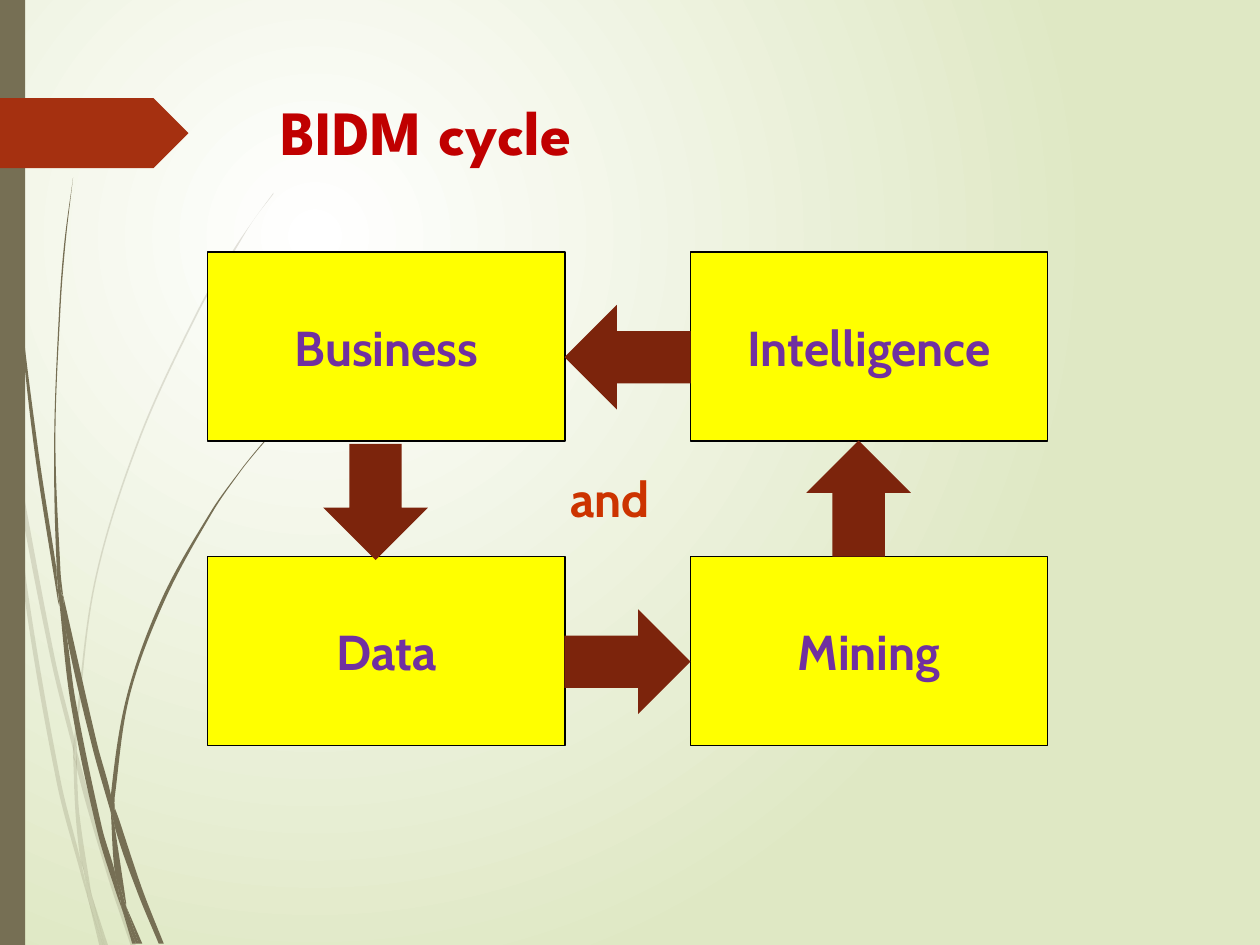
import pptx
import pptx.dml.color
import pptx.enum.shapes
import pptx.enum.text
import pptx.oxml.ns
import pptx.util
from lxml import etree

Cm, Pt = pptx.util.Cm, pptx.util.Pt
RGB = pptx.dml.color.RGBColor.from_string
qn = pptx.oxml.ns.qn
SHAPE = pptx.enum.shapes.MSO_SHAPE
ALIGN = pptx.enum.text.PP_ALIGN
ANCHOR = pptx.enum.text.MSO_ANCHOR

THEME = {
    "back": ("FFFFFF", "DFE8C4"),
    "stem": "766F54", "tag": "A53010", "arrow": "7C240C",
    "box": "FFFF00", "edge": "000000",
    "title": {"name": "League Spartan", "size": Pt(36), "bold": True, "color": "C00000"},
    "label": {"name": "Cabin", "size": Pt(28), "bold": True, "color": "7030A0"},
    "link": {"name": "Cabin", "size": Pt(28), "bold": True, "color": "CC3300"},
}

TITLE = "BIDM cycle"
LINK_WORD = "and"
BOXES = [["Business", "Intelligence"], ["Data", "Mining"]]

# Lengths are in centimetres, apart from the grass.
BOX_LEFT, BOX_TOP, BOX_W, BOX_H = 4.19, 5.08, 7.2, 3.81
STEP_X, STEP_Y = 9.73, 6.14
ARROW_H = 2.11
ARROWS = [  # centre x, centre y, length, rotation
    (7.57, 10.12, 2.34, 90),
    (17.31, 10.05, 2.34, 270),
    (12.65, 7.2, 2.54, 180),
    (12.65, 13.34, 2.54, 0),
]

# Each blade of grass has two sides, both running downwards, in units of GRASS_UNIT cm.
GRASS_UNIT = 2.54
FAINT_GRASS = [
    ([(0, 2.82), (0, 2.99), (0.07, 3.44), (0.08, 3.5)], [(0, 2.82), (0.06, 3.22), (0.08, 3.5)]),
    ([(0.1, 3.45), (0.12, 3.76), (0.4, 5.22), (0.59, 5.99)],
     [(0.1, 3.45), (0.43, 5.2), (0.59, 5.86)]),
    ([(0.61, 5.96), (0.61, 6.1), (0.85, 6.94), (1.04, 7.51)],
     [(0.61, 5.96), (0.64, 6.07), (0.88, 6.92), (1.08, 7.51)]),
    ([(0.73, 7.11), (0.83, 7.51)], [(0.73, 7.11), (0.86, 7.51)]),
    ([(0.08, 3.5), (0.19, 4.7), (0.45, 6.21), (0.64, 6.93), (0.7, 7.14)],
     [(0.08, 3.5), (0.12, 3.76), (0.22, 4.69), (0.48, 6.19), (0.64, 6.83), (0.69, 7.07),
      (0.7, 7.14)]),
    ([(0.58, 5.99), (0.6, 6.46), (0.64, 6.83), (0.67, 6.92), (0.73, 7.11)],
     [(0.58, 5.99), (0.61, 6.08), (0.61, 6.1), (0.63, 6.46), (0.72, 7.06), (0.73, 7.11)]),
    ([(2.17, 1.53), (2.01, 1.75), (1.86, 1.97), (1.58, 2.44), (1.1, 3.48), (0.75, 4.61),
      (0.59, 5.84), (0.59, 5.86), (0.61, 5.96)],
     [(2.17, 1.54), (2.01, 1.75), (1.87, 1.98), (1.59, 2.45), (1.11, 3.49), (0.76, 4.62),
      (0.61, 5.84), (0.61, 5.96)]),
    ([(0.7, 7.14), (0.79, 7.51)], [(0.7, 7.14), (0.82, 7.51)]),
    ([(0.59, 5.86), (0.58, 5.99), (0.61, 6.08), (0.61, 6.1)],
     [(0.59, 5.86), (0.61, 5.96), (0.61, 6.1)]),
    ([(0.65, 6.83), (0.69, 7.07), (0.7, 7.14), (0.82, 7.51)],
     [(0.65, 6.83), (0.67, 6.92), (0.73, 7.11), (0.83, 7.51)]),
]
DARK_GRASS = [
    ([(0.02, 0), (0.03, 0.48), (0.05, 1.1), (0.14, 2.33), (0.27, 3.55), (0.46, 4.77),
      (0.47, 4.81)],
     [(0.03, 0), (0.04, 0.48), (0.06, 1.09), (0.15, 2.32), (0.3, 3.55), (0.45, 4.53),
      (0.45, 4.57), (0.47, 4.81)]),
    ([(0.5, 4.72), (0.53, 5.05), (0.73, 5.92), (0.88, 6.45)],
     [(0.5, 4.72), (0.77, 5.9), (0.88, 6.31), (0.88, 6.45)]),
    ([(0.91, 6.41), (0.91, 6.56), (1.09, 7.08), (1.26, 7.49)],
     [(0.91, 6.41), (0.94, 6.49), (1.13, 7.06), (1.3, 7.49)]),
    ([(0.47, 4.77), (0.56, 5.57), (0.77, 6.59), (0.92, 7.08), (0.97, 7.22)],
     [(0.47, 4.77), (0.53, 5.05), (0.6, 5.56), (0.81, 6.57), (0.91, 6.91), (0.96, 7.17),
      (0.97, 7.22)]),
    ([(0.58, 1.41), (0.51, 1.93), (0.47, 2.45), (0.43, 3.49), (0.45, 4.49), (0.49, 4.72)],
     [(0.58, 1.41), (0.52, 1.93), (0.48, 2.45), (0.44, 3.49), (0.48, 4.53), (0.5, 4.72)]),
    ([(1, 7.19), (1.1, 7.49)], [(1, 7.19), (1.13, 7.49)]),
    ([(0.45, 4.49), (0.45, 4.53), (0.47, 4.77), (0.53, 5.05)],
     [(0.45, 4.49), (0.49, 4.72), (0.5, 4.73), (0.53, 5.05)]),
    ([(2.15, 3.44), (2.03, 3.58), (1.91, 3.73), (1.68, 4.05), (1.29, 4.74), (1.01, 5.51),
      (0.88, 6.31), (0.91, 6.41)],
     [(2.16, 3.44), (2.03, 3.59), (1.91, 3.74), (1.69, 4.06), (1.31, 4.76), (1.03, 5.52),
      (0.91, 6.33), (0.91, 6.41)]),
    ([(0.97, 7.22), (1.05, 7.49)], [(0.97, 7.22), (1.08, 7.49)]),
    ([(0.88, 6.45), (0.91, 6.91), (0.96, 7.06), (1, 7.19)],
     [(0.88, 6.45), (0.9, 6.51), (0.91, 6.56), (1, 7.16), (1, 7.19)]),
    ([(0.88, 6.31), (0.88, 6.45), (0.9, 6.51), (0.91, 6.56)],
     [(0.88, 6.31), (0.91, 6.41), (0.91, 6.56)]),
    ([(0.91, 6.91), (0.96, 7.17), (0.97, 7.22), (1.08, 7.49)],
     [(0.91, 6.91), (0.96, 7.06), (1, 7.19), (1.1, 7.49)]),
]


def paint(sp, fill, line=None):
    sp.shadow.inherit = False
    sp.fill.solid()
    sp.fill.fore_color.rgb = RGB(fill)
    if line:
        sp.line.color.rgb = RGB(line)
        sp.line.width = Pt(0.75)
    else:
        sp.line.fill.background()


def add_shape(parent, kind, x, y, w, h, fill, line=None):
    sp = parent.shapes.add_shape(kind, Cm(x), Cm(y), Cm(w), Cm(h))
    paint(sp, fill, line)
    return sp


def write(sp, text, style, align=ALIGN.LEFT, anchor=ANCHOR.TOP):
    tf = sp.text_frame
    tf.word_wrap = True
    tf.vertical_anchor = anchor
    p = tf.paragraphs[0]
    p.alignment = align
    r = p.add_run()
    r.text = text
    for key, value in THEME[style].items():
        if key == "color":
            r.font.color.rgb = RGB(value)
        else:
            setattr(r.font, key, value)


def add_text(s, x, y, w, h, text, style):
    write(s.shapes.add_textbox(Cm(x), Cm(y), Cm(w), Cm(h)), text, style)


def curves(side):
    """Return the Bezier points (control, control, end) of each step along a side."""
    last = len(side) - 1
    slopes = []
    for i in range(last + 1):
        (xa, ya), (xb, yb) = side[max(i - 1, 0)], side[min(i + 1, last)]
        slopes.append((xb - xa) / (yb - ya))
    steps = []
    for (x0, y0), (x1, y1), m0, m1 in zip(side, side[1:], slopes, slopes[1:]):
        d = (y1 - y0) / 3
        steps.append([(x0 + m0 * d, y0 + d), (x1 - m1 * d, y1 - d), (x1, y1)])
    return steps


def add_blade(group, left, right, alpha):
    steps = curves(left)
    if left[-1] != right[-1]:
        steps.append([right[-1]])
    steps += curves(right[::-1])
    start, *ends = [tuple(Cm(v * GRASS_UNIT) for v in pt)
                    for pt in [left[0]] + [step[-1] for step in steps]]
    builder = group.shapes.build_freeform(*start, scale=1.0)
    builder.add_line_segments(ends, close=True)
    sp = builder.convert_to_shape()
    for line, step in zip(list(sp.element.iter(qn("a:lnTo"))), steps):
        if len(step) == 3:
            curve = etree.Element(qn("a:cubicBezTo"))
            for x, y in step:
                etree.SubElement(curve, qn("a:pt"), x=str(Cm(x * GRASS_UNIT) - sp.left),
                                 y=str(Cm(y * GRASS_UNIT) - sp.top))
            line.getparent().replace(line, curve)
    paint(sp, THEME["stem"])
    if alpha < 100:
        color = sp.element.spPr.find(qn("a:solidFill"))[0]
        etree.SubElement(color, qn("a:alpha"), val=str(alpha * 1000))


def set_background(s):
    """Fill the slide with a round gradient centred in its upper left quarter."""
    fill = s.background.fill
    fill.gradient()
    for position, (stop, color) in enumerate(zip(fill.gradient_stops, THEME["back"])):
        stop.color.rgb = RGB(color)
        stop.position = position
    grad = s.element.find(".//" + qn("a:gradFill"))
    circle = etree.Element(qn("a:path"), path="circle")
    etree.SubElement(circle, qn("a:fillToRect"), l="50000", t="50000", r="100000", b="100000")
    grad.replace(grad.find(qn("a:lin")), circle)


def main():
    prs = pptx.Presentation()
    prs.slide_width, prs.slide_height = Cm(25.4), Cm(19.05)
    s = prs.slides.add_slide(prs.slide_layouts[6])
    set_background(s)

    for blades, alpha in ((FAINT_GRASS, 20), (DARK_GRASS, 100)):
        group = s.shapes.add_group_shape()
        for left, right in blades:
            add_blade(group, left, right, alpha)
    add_shape(s, SHAPE.RECTANGLE, 0, 0, 0.51, 19.05, THEME["stem"])
    add_shape(s, SHAPE.PENTAGON, 0, 1.98, 3.8, 1.41, THEME["tag"])
    add_text(s, 5.41, 1.74, 18.31, 2.46, TITLE, "title")

    for row, labels in enumerate(BOXES):
        for col, label in enumerate(labels):
            sp = add_shape(s, SHAPE.RECTANGLE, BOX_LEFT + col * STEP_X, BOX_TOP + row * STEP_Y,
                           BOX_W, BOX_H, THEME["box"], THEME["edge"])
            write(sp, label, "label", ALIGN.CENTER, ANCHOR.MIDDLE)

    group = s.shapes.add_group_shape()
    for x, y, length, rotation in ARROWS:
        sp = add_shape(group, SHAPE.RIGHT_ARROW, x - length / 2, y - ARROW_H / 2,
                       length, ARROW_H, THEME["arrow"])
        sp.rotation = rotation
    add_text(s, 11.25, 9.32, 2.67, 1.45, LINK_WORD, "link")

    prs.save("out.pptx")


if __name__ == "__main__":
    main()
